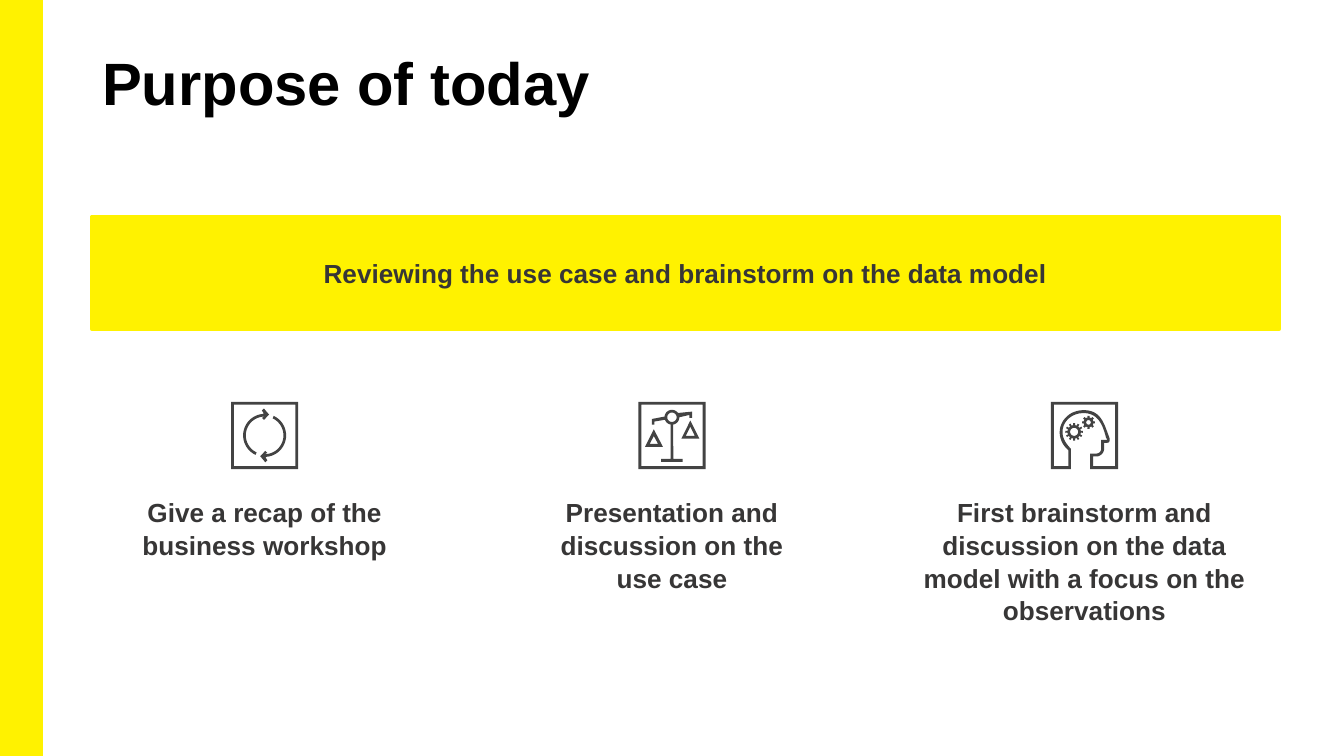
import math

import pptx
from pptx.dml.color import RGBColor
from pptx.enum.shapes import MSO_SHAPE
from pptx.enum.text import MSO_ANCHOR, MSO_AUTO_SIZE, PP_ALIGN
from pptx.util import Pt

YELLOW = RGBColor(0xFF, 0xF2, 0x00)
BLACK = RGBColor(0, 0, 0)
TEXT_GREY = RGBColor(0x37, 0x36, 0x36)
ICON_GREY = RGBColor(0x43, 0x43, 0x43)
FONT = "Arial"

TITLE = "Purpose of today"
BANNER = "Reviewing the use case and brainstorm on the data model"
# icon, text, centre, text width
COLUMNS = [
    ("cycle", "Give a recap of the business workshop", 141.8, 195.8),
    ("scales", "Presentation and discussion on the\nuse case", 360, 201.6),
    ("head", "First brainstorm and discussion on the data model "
             "with a focus on the observations", 581, 201.6),
]
ICON_TOP, ICON_SIZE = 215.3, 36
TEXT_TOP, TEXT_HEIGHT = 261.4, 92.2
GRID = 50  # icons are drawn on a 50 x 50 grid


def arc(x, y, radius, start, end, steps=32):
    """Points along an arc; angles in degrees, clockwise from the right."""
    angles = [math.radians(start + (end - start) * i / steps) for i in range(steps + 1)]
    return [(x + radius * math.cos(a), y + radius * math.sin(a)) for a in angles]


def outline(steps):
    """Turn points (x, y) and cubic curves (x1, y1, x2, y2, x, y) into points."""
    points = []
    for step in steps:
        if len(step) == 2:
            points.append(step)
            continue
        x0, y0 = points[-1]
        x1, y1, x2, y2, x3, y3 = step
        for i in range(1, 13):
            t = i / 12
            a, b, c, d = (1 - t) ** 3, 3 * t * (1 - t) ** 2, 3 * t * t * (1 - t), t ** 3
            points.append((a * x0 + b * x1 + c * x2 + d * x3,
                           a * y0 + b * y1 + c * y2 + d * y3))
    return points


def gear(x, y, root, tip, hole, teeth):
    pitch = 360 / teeth
    rim = []
    for tooth in range(teeth):
        middle = tooth * pitch
        for radius, offset in ((root, -0.25), (tip, -0.2), (tip, 0.2), (root, 0.25)):
            rim += arc(x, y, radius, middle + offset * pitch, 0, 1)[:1]
    return [rim, arc(x, y, hole, 360, 0)]


def square(inset):
    far = GRID - inset
    return [(inset, inset), (inset, far), (far, far), (far, inset)]


FRAME = [square(0), square(2.2)[::-1]]
ARROW = (arc(25, 25, 14, 115, 270)
         + [(23, 12), (24.5, 13.5), (28.3, 9.5), (24.5, 5), (23, 6.5), (24.3, 8.5)]
         + arc(25, 25, 16, 266, 115))
TURNED_ARROW = [(GRID - x, GRID - y) for x, y in ARROW]

SCALES = [
    [(11.5, 20.5), (5, 33.5), (18.3, 33.5)],
    [(11.5, 25.5), (14.7, 31.3), (8.5, 31.3)],
    [(32, 27.5), (45.5, 27.5), (38.7, 14)],
    [(35.3, 25.3), (38.7, 18.5), (42, 25.3)],
    [(12, 14.7)] + arc(25, 11.5, 5.5, 160, 100)
    + [(24, 42.5), (17, 42.5), (17, 44.7), (33, 44.7), (33, 42.5), (26, 42.5)]
    + arc(25, 11.5, 5.5, 80, 0)
    + [(38, 9.8), (38, 12), (40, 12), (40, 7.3)]
    + arc(25, 11.5, 5.5, -35, -175)
    + [(10, 12.8), (10, 17), (12, 17)],
    arc(25, 11.5, 3.5, 360, 0),
]

HEAD = [
    outline([(0, 0), (0, 50), (15, 50), (15, 35), (11, 31, 8.7, 27, 8.7, 22.5),
             (8.7, 15.5, 14, 10, 21, 8.7), (23, 8.4, 26, 8.3, 28, 8.8),
             (36, 10.5, 39, 18.5, 41, 26.5), (42, 28.3), (37.5, 28.3), (37.5, 34.5),
             (37.5, 37, 36, 38.5, 33.7, 38.5), (29.3, 38.5), (29.3, 50), (50, 50), (50, 0)]),
    outline([(47.8, 47.8), (31.5, 47.8), (31.5, 40.7), (33.7, 40.7),
             (37, 40.7, 39.7, 38, 39.7, 34.5), (39.7, 30.5), (42, 30.5),
             (43.5, 30.5, 44.3, 29, 43.5, 26.5), (40, 17.5, 38, 8.5, 28.5, 6.6),
             (26, 6.1, 23, 6.2, 21, 6.5), (13, 7.8, 6.6, 14.5, 6.6, 22.5),
             (6.6, 28, 9, 32.5, 13, 36), (13, 47.8), (2.2, 47.8), (2.2, 2.2), (47.8, 2.2)]),
]

# each icon is a list of shapes, each shape a list of closed contours
ICONS = {
    "cycle": [FRAME, [ARROW], [TURNED_ARROW]],
    "scales": [FRAME + SCALES],
    "head": [HEAD, gear(17.3, 22.3, 5, 6.6, 3, 12), gear(28, 15.3, 3.7, 4.9, 1.7, 8)],
}


def draw_icon(slide, icon, left, top):
    scale = ICON_SIZE / GRID
    for contours in icon:
        builder = None
        for contour in contours:
            points = [(Pt(left + x * scale), Pt(top + y * scale)) for x, y in contour]
            if builder is None:
                builder = slide.shapes.build_freeform(*points[0], scale=1.0)
            else:
                builder.move_to(*points[0])
            builder.add_line_segments(points[1:], close=True)
        shape = builder.convert_to_shape()
        shape.shadow.inherit = False
        shape.fill.solid()
        shape.fill.fore_color.rgb = ICON_GREY
        shape.line.fill.background()


def add_bar(slide, left, top, width, height, line_width):
    shape = slide.shapes.add_shape(
        MSO_SHAPE.RECTANGLE, Pt(left), Pt(top), Pt(width), Pt(height))
    shape.shadow.inherit = False
    shape.fill.solid()
    shape.fill.fore_color.rgb = shape.line.color.rgb = YELLOW
    shape.line.width = Pt(line_width)
    return shape


def write(shape, text, size, color, align, anchor, margins=(7.2, 3.6)):
    frame = shape.text_frame
    frame.text = text
    frame.word_wrap = True
    frame.auto_size = MSO_AUTO_SIZE.NONE
    frame.vertical_anchor = anchor
    frame.margin_left = frame.margin_right = Pt(margins[0])
    frame.margin_top = frame.margin_bottom = Pt(margins[1])
    for paragraph in frame.paragraphs:
        paragraph.alignment = align
        paragraph.font.name = FONT
        paragraph.font.size = Pt(size)
        paragraph.font.bold = True
        paragraph.font.color.rgb = color


def main():
    presentation = pptx.Presentation()
    presentation.slide_width, presentation.slide_height = Pt(720), Pt(405)
    slide = presentation.slides.add_slide(presentation.slide_layouts[5])

    add_bar(slide, 0, 0, 22.5, 405, 1)

    title = slide.shapes.title
    title.left, title.top, title.width, title.height = Pt(49.7), Pt(21.6), Pt(620.6), Pt(58.3)
    write(title, TITLE, 32, BLACK, PP_ALIGN.LEFT, MSO_ANCHOR.TOP, (5, 2.9))

    banner = add_bar(slide, 49.3, 116, 635.9, 60.4, 2)
    write(banner, BANNER, 14, TEXT_GREY, PP_ALIGN.CENTER, MSO_ANCHOR.MIDDLE)

    for icon, text, center, width in COLUMNS:
        draw_icon(slide, ICONS[icon], center - ICON_SIZE / 2, ICON_TOP)
        box = slide.shapes.add_textbox(
            Pt(center - width / 2), Pt(TEXT_TOP), Pt(width), Pt(TEXT_HEIGHT))
        write(box, text, 14, TEXT_GREY, PP_ALIGN.CENTER, MSO_ANCHOR.TOP)
        for paragraph in box.text_frame.paragraphs:
            paragraph.line_spacing = 1.05

    presentation.save("out.pptx")


if __name__ == "__main__":
    main()
